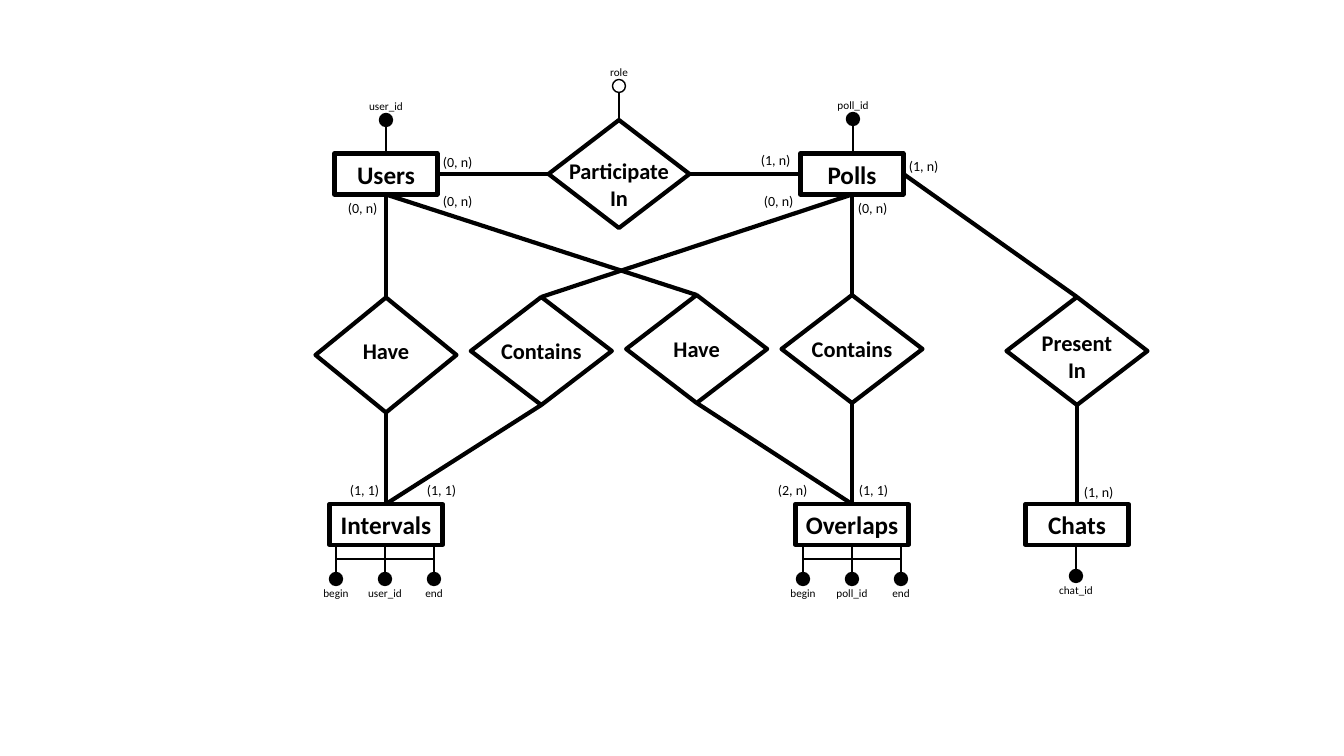
from lxml.etree import SubElement
from pptx import Presentation
from pptx.dml.color import RGBColor
from pptx.enum.shapes import MSO_CONNECTOR, MSO_SHAPE
from pptx.enum.text import MSO_ANCHOR, PP_ALIGN
from pptx.oxml.ns import qn
from pptx.util import Pt

SCALE = 914400 / 100.8
COLOURS = {"ink": "000000", "paper": "FFFFFF"}
FORMATS = {
    "entity": {"size": Pt(18), "bold": True},
    "relation": {"size": Pt(16), "bold": True},
    "cardinality": {"size": Pt(10), "bold": False},
    "attribute": {"size": Pt(8), "bold": False},
}
SITES = {"top": 0, "left": 1, "bottom": 2, "right": 3}
THICK, THIN = 3, 1


def emu(pixels):
    """Turn pixels into EMU."""
    return round(pixels * SCALE)


def colour(name):
    """Look up a named colour."""
    return RGBColor.from_string(COLOURS[name])


class Diagram:
    """Style and drawing methods for one entity-relationship page."""

    def __init__(self, page):
        self.page = page
        self.font = "Calibri"

    def fill_text(self, frame, text, kind, align=PP_ALIGN.CENTER, wrap=True):
        """Fill a text frame, one paragraph per line."""
        frame.word_wrap = wrap
        frame.vertical_anchor = MSO_ANCHOR.MIDDLE
        for index, line in enumerate(text.split("\n")):
            para = frame.paragraphs[0] if index == 0 else frame.add_paragraph()
            para.alignment = align
            span = para.add_run()
            span.text = line
            for name, value in {"name": self.font, **FORMATS[kind]}.items():
                setattr(span.font, name, value)
            span.font.color.rgb = colour("ink")

    def outline(self, preset, x, y, width, height, weight, fill=None):
        """Draw a preset shape centred on a point."""
        shape = self.page.shapes.add_shape(
            preset, emu(x - width / 2), emu(y - height / 2), emu(width), emu(height))
        shape.shadow.inherit = False
        if fill:
            shape.fill.solid()
            shape.fill.fore_color.rgb = colour(fill)
        else:
            shape.fill.background()
        shape.line.color.rgb = colour("ink")
        shape.line.width = Pt(weight)
        return shape

    def label(self, x, y, width, height, text, kind, align=PP_ALIGN.CENTER):
        """Place a text box centred on a point."""
        box = self.page.shapes.add_textbox(
            emu(x - width / 2), emu(y - height / 2), emu(width), emu(height))
        self.fill_text(box.text_frame, text, kind, align)

    def entity(self, x, y, width, text):
        """Draw an entity rectangle."""
        box = self.outline(MSO_SHAPE.RECTANGLE, x, y, width, 41, THICK, "paper")
        self.fill_text(box.text_frame, text, "entity", wrap=False)
        return box

    def relation(self, x, y, text, height=108, shift=0):
        """Draw a relation diamond, its wording shifted down if asked."""
        diamond = self.outline(MSO_SHAPE.FLOWCHART_DECISION, x, y, 141, height, THICK)
        lines = text.count("\n") + 1
        self.label(x, y + shift, 133, 10 + 27 * lines, text, "relation")
        return diamond

    def line(self, x1, y1, x2, y2, weight):
        """Draw a straight line without shadow."""
        connector = self.page.shapes.add_connector(
            MSO_CONNECTOR.STRAIGHT, emu(x1), emu(y1), emu(x2), emu(y2))
        connector.line.color.rgb = colour("ink")
        connector.line.width = Pt(weight)
        SubElement(connector._element.spPr, qn("a:effectLst"))
        return connector

    def link(self, start, start_side, end, end_side):
        """Join two shapes at the named sides."""
        connector = self.line(0, 0, 1, 1, THICK)
        connector.begin_connect(start, SITES[start_side])
        connector.end_connect(end, SITES[end_side])

    def attribute(self, x, edge, way, text, fill="ink"):
        """Draw a stem, dot and name; way is -1 for up and 1 for down."""
        self.line(x, edge, x, edge + way * 26, THIN)
        self.outline(MSO_SHAPE.OVAL, x, edge + way * 33, 13, 13, THIN, fill)
        self.label(x, edge + way * 47, 56, 24, text, "attribute")

    def cardinality(self, left, middle, text):
        """Put a cardinality beside a line end."""
        self.label(left + 28, middle, 56, 27, text, "cardinality", PP_ALIGN.LEFT)


deck = Presentation()
deck.slide_width, deck.slide_height = emu(1344), emu(756)
diagram = Diagram(deck.slides.add_slide(deck.slide_layouts[6]))

USER_X, POLL_X, CHAT_X = 386, 852, 1077
MIDDLE_X = (USER_X + POLL_X) / 2
STEP = (POLL_X - USER_X) / 3
TOP_Y, BOTTOM_Y = 174, 524.5

users = diagram.entity(USER_X, TOP_Y, 103, "Users")
polls = diagram.entity(POLL_X, TOP_Y, 103, "Polls")
intervals = diagram.entity(USER_X, BOTTOM_Y, 113, "Intervals")
overlaps = diagram.entity(POLL_X, BOTTOM_Y, 113, "Overlaps")
chats = diagram.entity(CHAT_X, BOTTOM_Y, 103, "Chats")

user_have = diagram.relation(USER_X, 355, "Have", height=115, shift=-4)
poll_contains = diagram.relation(USER_X + STEP, 351, "Contains")
user_overlap = diagram.relation(USER_X + 2 * STEP, 349, "Have")
poll_overlap = diagram.relation(POLL_X, 349, "Contains")
participate = diagram.relation(MIDDLE_X, TOP_Y, "Participate\nIn", shift=10)
present = diagram.relation(CHAT_X, 351, "Present\nIn", shift=5)

diagram.link(users, "right", participate, "left")
diagram.link(participate, "right", polls, "left")
for source, side, relation, target in (
    (users, "bottom", user_have, intervals),
    (polls, "bottom", poll_contains, intervals),
    (users, "bottom", user_overlap, overlaps),
    (polls, "bottom", poll_overlap, overlaps),
    (polls, "right", present, chats),
):
    diagram.link(source, side, relation, "top")
    diagram.link(relation, "bottom", target, "top")

for left, middle, text in (
    (433, 162, "(0, n)"), (433, 201, "(0, n)"), (338, 208, "(0, n)"),
    (751, 160, "(1, n)"), (754, 201, "(0, n)"), (848, 208, "(0, n)"),
    (899, 166, "(1, n)"), (340, 490, "(1, 1)"), (417, 490, "(1, 1)"),
    (768, 490, "(2, n)"), (849, 490, "(1, 1)"), (1074, 492, "(1, n)"),
):
    diagram.cardinality(left, middle, text)

diagram.attribute(USER_X, 153, -1, "user_id")
diagram.attribute(POLL_X + 1, 152, -1, "poll_id")
diagram.attribute(MIDDLE_X, 119, -1, "role", fill=None)
diagram.attribute(CHAT_X - 1, 543, 1, "chat_id")
KEY_GAP = 49
for x, key in ((USER_X - 1, "user_id"), (POLL_X, "poll_id")):
    for offset, name in ((-KEY_GAP, "begin"), (0, key), (KEY_GAP, "end")):
        diagram.attribute(x + offset, 546, 1, name)
    diagram.line(x - KEY_GAP, 559, x + KEY_GAP, 559, THIN)

deck.save("out.pptx")
